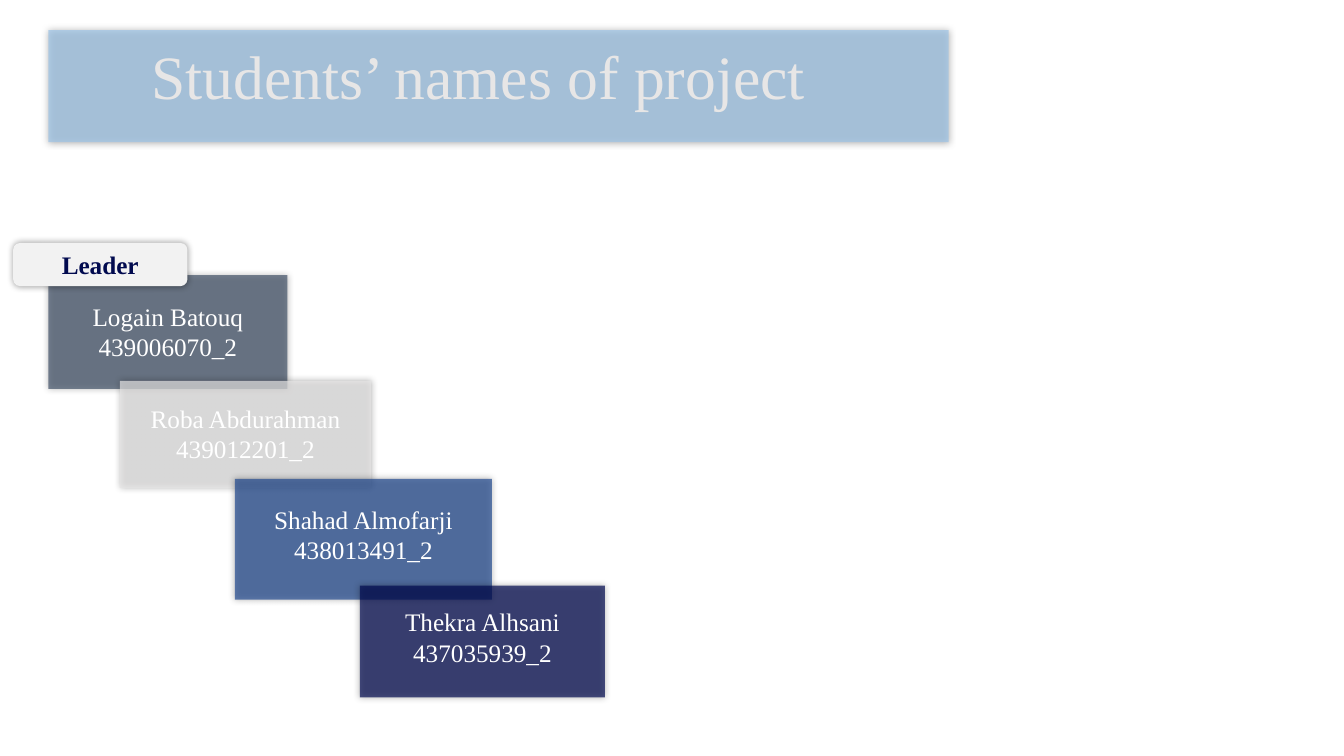
from lxml import etree
from pptx import Presentation
from pptx.dml.color import RGBColor
from pptx.enum.shapes import MSO_SHAPE
from pptx.enum.text import MSO_ANCHOR, MSO_AUTO_SIZE, PP_ALIGN
from pptx.oxml.ns import qn
from pptx.util import Inches, Pt

# Content
TITLE = "Students’ names of project"
LEADER = "Leader"
# name, student number, fill, card (left, top, width, height), label width, label drop
STUDENTS = [
    ("Logain Batouq", "439006070_2", "slate", (0.48, 2.73, 2.37, 1.13), 2.05, 0.21),
    ("Roba Abdurahman", "439012201_2", "pale", (1.19, 3.78, 2.49, 1.06), 2.08, 0.17),
    ("Shahad Almofarji", "438013491_2", "blue", (2.33, 4.75, 2.55, 1.2), 2.17, 0.2),
    ("Thekra Alhsani", "437035939_2", "navy", (3.57, 5.81, 2.43, 1.11), 2.19, 0.16),
]

# Style and layout
COLORS = {"sky": "9CC3E6", "slate": "44546A", "pale": "E7E6E6", "blue": "224A90",
          "navy": "010A4F", "tag": "F2F2F2", "white": "FFFFFF", "black": "000000"}
FONT = "Times New Roman"
SLIDE_W, SLIDE_H = 13.33, 7.5
BAND = (0.48, 0.3, 8.93, 1.11)
TITLE_LEFT, TITLE_TOP, TITLE_H = 1.4, 0.41, 0.79
TAG = (0.13, 2.41, 1.73, 0.43)
LABEL_H = 0.71
CARD_OPACITY = 70


def add_panel(slide, preset, box, color, opacity=100):
    """Add a borderless panel with a soft shadow all round."""
    panel = slide.shapes.add_shape(preset, *map(Inches, box))
    panel.fill.solid()
    panel.fill.fore_color.rgb = RGBColor.from_string(COLORS[color])
    panel.line.fill.background()
    properties = panel.fill._xPr
    if opacity < 100:
        tint = properties.find(qn("a:solidFill")).find(qn("a:srgbClr"))
        etree.SubElement(tint, qn("a:alpha"), val=str(opacity * 1000))
    panel.shadow.inherit = False
    glow = etree.SubElement(properties.find(qn("a:effectLst")), qn("a:outerShdw"),
                            blurRad=str(Pt(5)), dist="0", dir="0", rotWithShape="0")
    shade = etree.SubElement(glow, qn("a:srgbClr"), val=COLORS["black"])
    etree.SubElement(shade, qn("a:alpha"), val="40000")
    return panel


def write(paragraph, text, size, color, align=PP_ALIGN.CENTER, bold=False):
    paragraph.alignment = align
    run = paragraph.add_run()
    run.text = text
    run.font.name = FONT
    run.font.size = Pt(size)
    run.font.bold = bold
    run.font.color.rgb = RGBColor.from_string(COLORS[color])


def add_title(slide):
    band = add_panel(slide, MSO_SHAPE.RECTANGLE, BAND, "sky", CARD_OPACITY)
    title = slide.shapes.title
    title.left, title.top = Inches(TITLE_LEFT), Inches(TITLE_TOP)
    title.width, title.height = Inches(SLIDE_W - TITLE_LEFT), Inches(TITLE_H)
    title._element.addprevious(band._element)
    frame = title.text_frame
    frame.word_wrap = True
    frame.auto_size = MSO_AUTO_SIZE.NONE
    frame.vertical_anchor = MSO_ANCHOR.TOP
    heading = frame.paragraphs[0]
    heading.line_spacing = 0.9
    write(heading, TITLE, 44, "pale", PP_ALIGN.LEFT)


def add_leader_tag(slide):
    tag = add_panel(slide, MSO_SHAPE.ROUNDED_RECTANGLE, TAG, "tag")
    tag.text_frame.vertical_anchor = MSO_ANCHOR.MIDDLE
    write(tag.text_frame.paragraphs[0], LEADER, 18, "navy", bold=True)


def add_student_label(slide, card, label_w, drop, lines):
    left, top, width, _ = card
    label_box = (left + (width - label_w) / 2, top + drop, label_w, LABEL_H)
    label = slide.shapes.add_textbox(*map(Inches, label_box))
    frame = label.text_frame
    frame.word_wrap = True
    frame.auto_size = MSO_AUTO_SIZE.SHAPE_TO_FIT_TEXT
    write(frame.paragraphs[0], lines[0], 18, "white")
    for line in lines[1:]:
        write(frame.add_paragraph(), line, 18, "white")


def main():
    deck = Presentation()
    deck.slide_width, deck.slide_height = Inches(SLIDE_W), Inches(SLIDE_H)
    slide = deck.slides.add_slide(deck.slide_layouts[5])
    add_title(slide)

    # Staircase of students, the first one tagged as leader
    for index, (name, number, color, card, label_w, drop) in enumerate(STUDENTS):
        add_panel(slide, MSO_SHAPE.RECTANGLE, card, color, CARD_OPACITY)
        if index == 0:
            add_leader_tag(slide)
        add_student_label(slide, card, label_w, drop, (name, number))

    deck.save("out.pptx")


if __name__ == "__main__":
    main()
